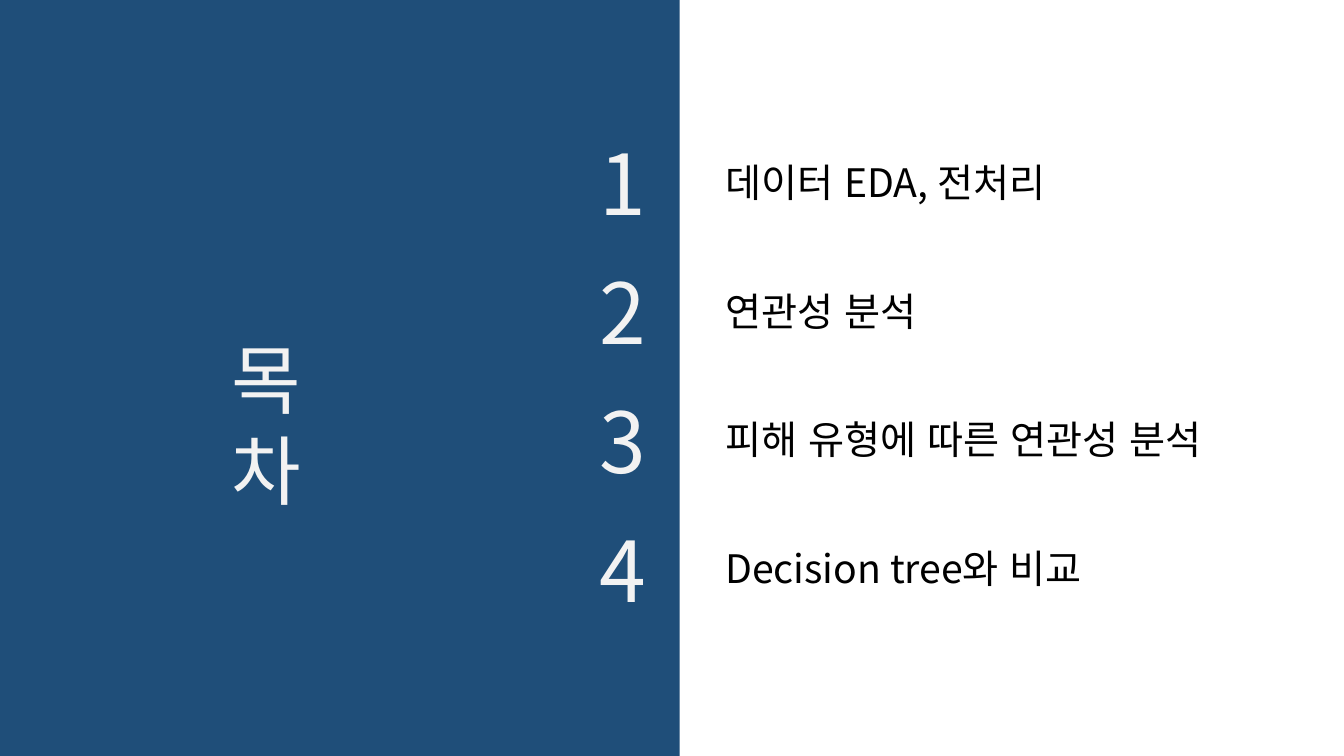
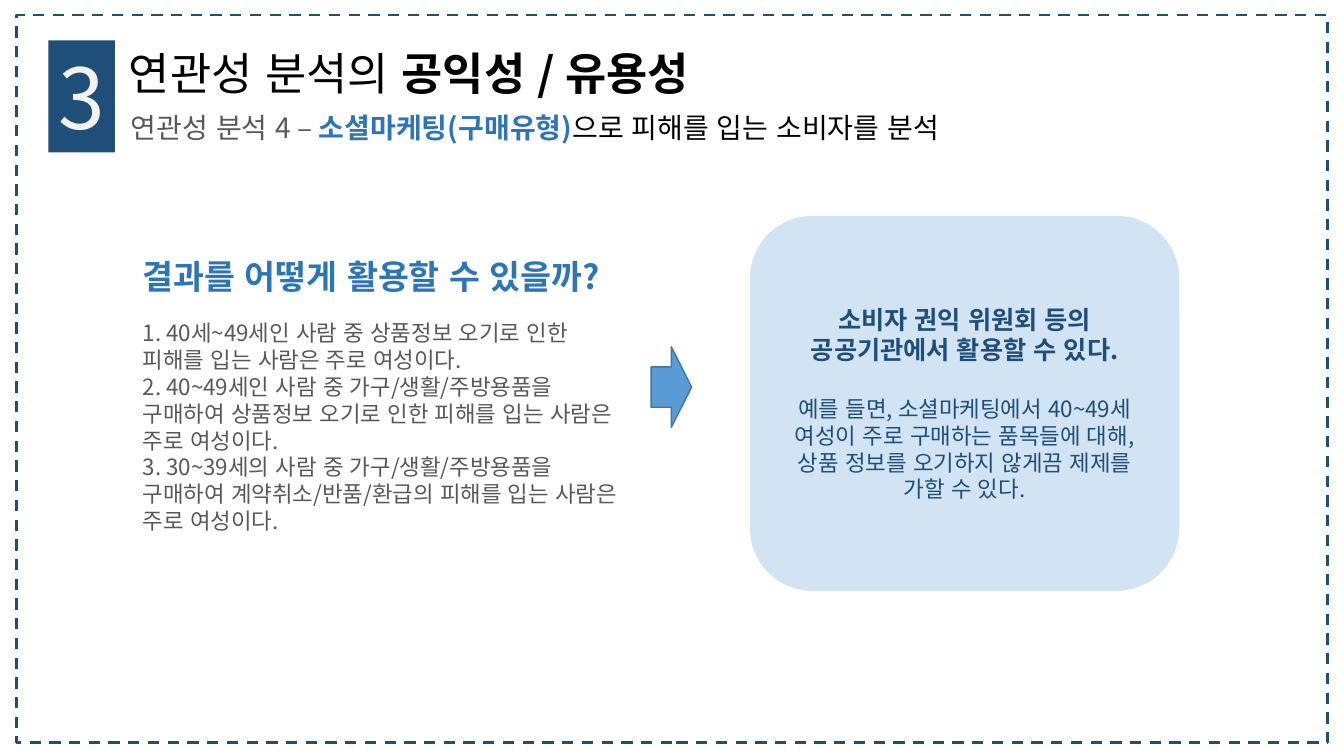
from dataclasses import dataclass

from lxml.etree import SubElement
from pptx import Presentation
from pptx.dml.color import RGBColor
from pptx.enum.dml import MSO_LINE
from pptx.enum.lang import MSO_LANGUAGE_ID
from pptx.enum.shapes import MSO_SHAPE
from pptx.enum.text import MSO_ANCHOR, PP_ALIGN
from pptx.oxml.ns import qn
from pptx.util import Cm, Pt


@dataclass(frozen=True)
class Theme:
    font: str = "Noto Sans CJK KR"
    navy: str = "1F4E79"
    blue: str = "2E75B6"
    sky: str = "5B9BD5"
    sky_edge: str = "43739E"
    pale: str = "F2F2F2"
    grey: str = "595959"
    black: str = "000000"
    number: int = 60
    contents: int = 54
    title: int = 32
    item: int = 28
    question: int = 24
    subtitle: int = 20
    lead: int = 18
    body: int = 16


@dataclass(frozen=True)
class Box:
    """A region of the slide, in centimetres."""
    left: float
    top: float
    width: float
    height: float

    def inner(self, dx, dy, width, height):
        return Box(self.left + dx, self.top + dy, width, height)

    def lengths(self):
        return Cm(self.left), Cm(self.top), Cm(self.width), Cm(self.height)


THEME = Theme()
PAGE = Box(0, 0, 33.87, 19.05)


# Shared parts
def write(frame, text, *, size, color, bold=False, align=PP_ALIGN.LEFT,
          before=0, same_line=False):
    """Add text as a new paragraph, or as a further run of the last one."""
    paragraph = frame.paragraphs[-1]
    if paragraph.runs and not same_line:
        paragraph = frame.add_paragraph()
    if not same_line:
        paragraph.alignment = align
        paragraph.space_before = Pt(before)
    run = paragraph.add_run()
    run.text = text
    font = run.font
    font.name, font.size, font.bold = THEME.font, Pt(size), bold
    font.color.rgb = RGBColor.from_string(color)
    font.language_id = MSO_LANGUAGE_ID.KOREAN
    east_asian = SubElement(run._r.get_or_add_rPr(), qn("a:ea"))
    east_asian.set("typeface", THEME.font)


def text_area(slide, box):
    frame = slide.shapes.add_textbox(*box.lengths()).text_frame
    frame.word_wrap = True
    return frame


def add_block(slide, kind, box, *, fill=None, opacity=None, line=None, width=1):
    block = slide.shapes.add_shape(kind, *box.lengths())
    block.shadow.inherit = False
    if fill:
        block.fill.solid()
        block.fill.fore_color.rgb = RGBColor.from_string(fill)
    else:
        block.fill.background()
    if opacity:
        tint = block.fill._xPr.find(qn("a:solidFill"))[0]
        SubElement(tint, qn("a:alpha")).set("val", str(opacity * 1000))
    if line:
        block.line.color.rgb = RGBColor.from_string(line)
        block.line.width = Pt(width)
    else:
        block.line.fill.background()
    return block


def add_number(slide, box, number):
    badge = add_block(slide, MSO_SHAPE.RECTANGLE, box, fill=THEME.navy)
    frame = badge.text_frame
    frame.word_wrap = True
    frame.vertical_anchor = MSO_ANCHOR.TOP
    write(frame, number, size=THEME.number, color=THEME.pale)


# Contents slide
def add_contents_panel(slide, box):
    add_block(slide, MSO_SHAPE.RECTANGLE, box, fill=THEME.navy)
    # Narrow enough to stack the two syllables
    heading = text_area(slide, box.inner(5.59, 8.26, 3, 4.8))
    write(heading, "목차", size=THEME.contents, color=THEME.pale)


def add_contents_list(slide, box, items):
    pitch = box.height / len(items)
    for index, item in enumerate(items):
        row_top = index * pitch
        add_number(slide, box.inner(0, row_top, 1.83, 2.82), str(index + 1))
        label = text_area(slide, box.inner(3.17, row_top + 0.66, 14.5, 1.45))
        write(label, item, size=THEME.item, color=THEME.black)


def build_contents(slide):
    add_contents_panel(slide, Box(0, 0, 17.13, PAGE.height))
    add_contents_list(slide, Box(14.86, 3.2, 17.67, 12.98), [
        "데이터 EDA, 전처리",
        "연관성 분석",
        "피해 유형에 따른 연관성 분석",
        "Decision tree와 비교",
    ])


# Analysis slide
def add_frame(slide, box):
    border = add_block(slide, MSO_SHAPE.RECTANGLE, box, line=THEME.navy, width=2)
    border.line.dash_style = MSO_LINE.DASH


def add_header(slide, box, number, title, subtitle):
    """Title and subtitle are lists of (text, format) pieces."""
    add_number(slide, box.inner(0, 0, 1.68, box.height), number)
    lines = [
        (box.inner(1.78, 0, 20, 1.6), THEME.title, title),
        (box.inner(1.83, 1.63, 23, 1.12), THEME.subtitle, subtitle),
    ]
    for line_box, size, pieces in lines:
        frame = text_area(slide, line_box)
        for index, (text, style) in enumerate(pieces):
            write(frame, text, size=size, same_line=index > 0, **style)


def add_findings(slide, box, question, findings):
    heading = text_area(slide, box.inner(0, 0, 13.2, 1.27))
    write(heading, question, size=THEME.question, color=THEME.blue, bold=True)
    body = text_area(slide, box.inner(0, 1.6, box.width, box.height - 1.6))
    for finding in findings:
        write(body, finding, size=THEME.body, color=THEME.grey)


def add_use_case(slide, box, lead, example):
    card = add_block(slide, MSO_SHAPE.ROUNDED_RECTANGLE, box,
                     fill=THEME.sky, opacity=27)
    frame = card.text_frame
    frame.word_wrap = True
    frame.vertical_anchor = MSO_ANCHOR.MIDDLE
    style = {"color": THEME.navy, "align": PP_ALIGN.CENTER}
    write(frame, lead, size=THEME.lead, bold=True, **style)
    write(frame, example, size=THEME.body, before=21.5, **style)


def build_analysis(slide):
    plain, strong = {"color": THEME.black}, {"color": THEME.black, "bold": True}
    add_header(
        slide, Box(1.22, 1.02, 25, 2.82), "3",
        title=[("연관성 분석의 ", plain), ("공익성 / 유용성", strong)],
        subtitle=[
            ("연관성 분석 4 – ", {"color": THEME.grey}),
            ("소셜마케팅(구매유형)", {"color": THEME.blue, "bold": True}),
            ("으로 피해를 입는 소비자를 분석", plain),
        ],
    )
    add_frame(slide, Box(0.41, 0.38, 33.05, 18.34))
    add_findings(slide, Box(3.35, 6.32, 12.45, 7.34), "결과를 어떻게 활용할 수 있을까?", [
        "1. 40세~49세인 사람 중 상품정보 오기로 인한 피해를 입는 사람은 주로 여성이다.",
        "2. 40~49세인 사람 중 가구/생활/주방용품을 구매하여 상품정보 오기로 인한 "
        "피해를 입는 사람은 주로 여성이다.",
        "3. 30~39세의 사람 중 가구/생활/주방용품을 구매하여 계약취소/반품/환급의 "
        "피해를 입는 사람은 주로 여성이다.",
    ])
    add_use_case(
        slide, Box(18.9, 5.44, 10.82, 9.45),
        "소비자 권익 위원회 등의 공공기관에서 활용할 수 있다.",
        "예를 들면, 소셜마케팅에서 40~49세 여성이 주로 구매하는 품목들에 대해, "
        "상품 정보를 오기하지 않게끔 제제를 가할 수 있다.",
    )
    add_block(slide, MSO_SHAPE.RIGHT_ARROW, Box(16.41, 8.74, 1.02, 2.03),
              fill=THEME.sky, line=THEME.sky_edge)


def main():
    deck = Presentation()
    deck.slide_width, deck.slide_height = Cm(PAGE.width), Cm(PAGE.height)
    blank = deck.slide_layouts[6]
    for build in (build_contents, build_analysis):
        build(deck.slides.add_slide(blank))
    deck.save("out.pptx")


if __name__ == "__main__":
    main()
